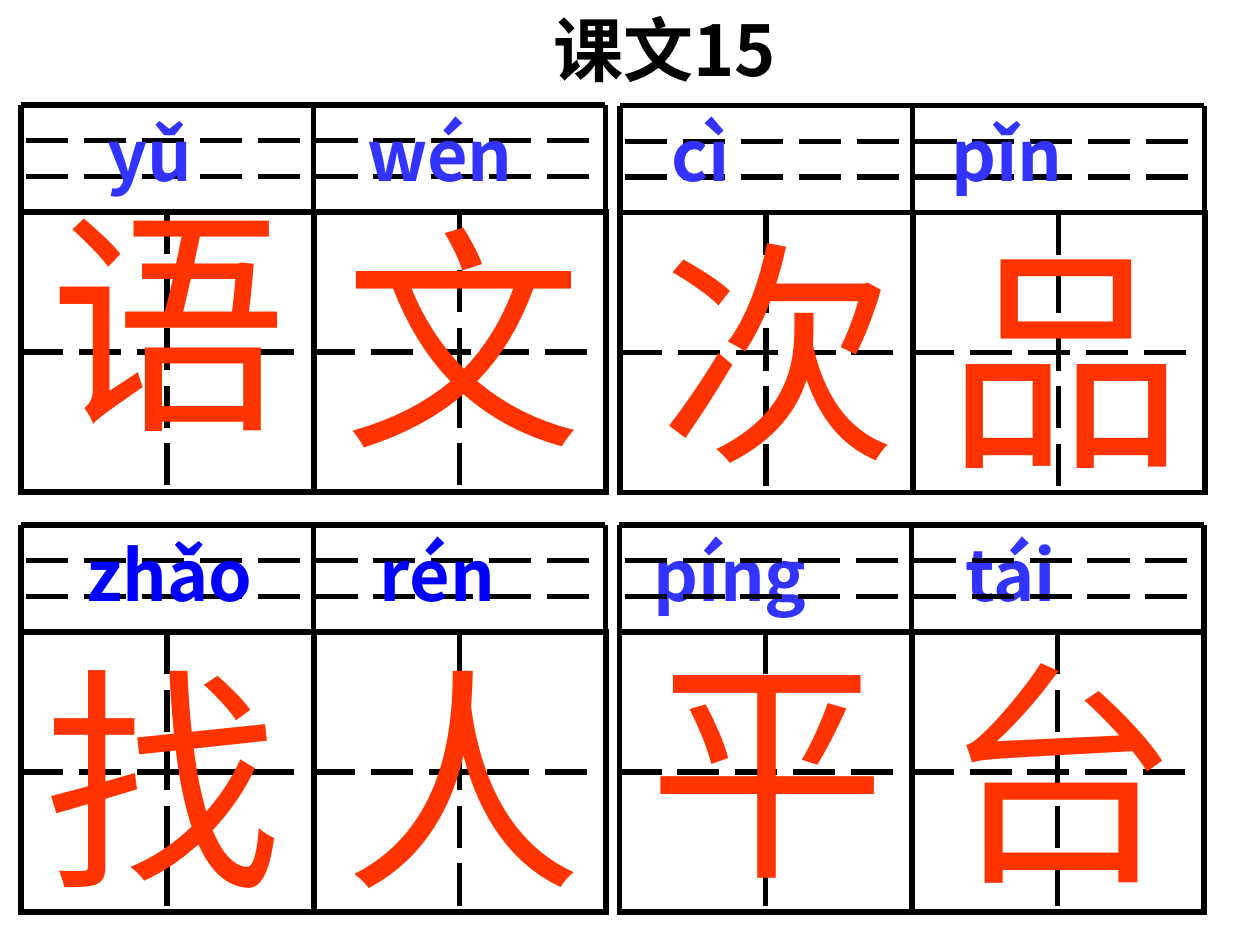
from lxml import etree
from pptx import Presentation
from pptx.dml.color import RGBColor
from pptx.enum.dml import MSO_LINE
from pptx.enum.shapes import MSO_CONNECTOR, MSO_SHAPE
from pptx.enum.text import MSO_ANCHOR, PP_ALIGN
from pptx.oxml.ns import qn
from pptx.util import Pt

STRAIGHT = MSO_CONNECTOR.STRAIGHT
RECTANGLE = MSO_SHAPE.RECTANGLE
LONG_DASH = MSO_LINE.LONG_DASH
TOP = MSO_ANCHOR.TOP
LEFT = PP_ALIGN.LEFT

BLACK = RGBColor(0x00, 0x00, 0x00)
RED = RGBColor(0xFF, 0x33, 0x00)
SOFT_BLUE = RGBColor(0x33, 0x33, 0xFF)
PURE_BLUE = RGBColor(0x00, 0x00, 0xFF)

NOTO = "Noto Sans CJK SC"
ARIAL = "Arial"

# Writing grid: two columns, a pinyin band above a square for the character
COLUMN = 167
BAND = 61.2
SQUARE = 160
RULE_GAP = BAND / 3


def style_run(run, size, color, font_name, bold=False):
    font = run.font
    font.size, font.bold, font.name = Pt(size), bold, font_name
    font.color.rgb = color
    east_asian = etree.SubElement(run._r.get_or_add_rPr(), qn("a:ea"))
    east_asian.set("typeface", font_name)


def set_frame(frame):
    frame.word_wrap = True
    frame.vertical_anchor = TOP
    frame.margin_left = frame.margin_right = Pt(7.2)
    frame.margin_top = frame.margin_bottom = Pt(3.6)
    paragraph = frame.paragraphs[0]
    paragraph.alignment = LEFT
    paragraph.line_spacing = 1.0
    paragraph.space_before = Pt(0)
    return paragraph


def add_rule(shapes, x1, y1, x2, y2, dashed=False):
    rule = shapes.add_connector(STRAIGHT, Pt(x1), Pt(y1), Pt(x2), Pt(y2))
    rule.line.color.rgb = BLACK
    rule.line.width = Pt(3)
    if dashed:
        rule.line.dash_style = LONG_DASH
    etree.SubElement(rule._element.spPr, qn("a:effectLst"))


def add_writing_grid(slide, left, top):
    shapes = slide.shapes.add_group_shape().shapes
    right = left + 2 * COLUMN
    square_top = top + BAND
    bottom = square_top + SQUARE

    # Character squares with dashed centre lines
    for x in (left, left + COLUMN):
        square = shapes.add_shape(RECTANGLE, Pt(x), Pt(square_top),
                                  Pt(COLUMN + 0.5), Pt(SQUARE))
        square.shadow.inherit = False
        square.fill.background()
        square.line.color.rgb = BLACK
        square.line.width = Pt(3)
        etree.SubElement(square._element.spPr.get_or_add_ln(),
                         qn("a:miter"), lim="800000")
        middle_x, middle_y = x + COLUMN / 2, square_top + SQUARE / 2
        add_rule(shapes, middle_x, square_top, middle_x, bottom, dashed=True)
        add_rule(shapes, x, middle_y, x + COLUMN - 3, middle_y, dashed=True)

    # Pinyin band
    add_rule(shapes, left, top, right, top)
    for step in (1, 2):
        y = top + step * RULE_GAP
        add_rule(shapes, left + 3, y, right, y, dashed=True)

    # Column edges
    for step in range(3):
        x = left + step * COLUMN
        add_rule(shapes, x, top, x, bottom)


def add_character(slide, character, left, top, font_name=ARIAL):
    box = slide.shapes.add_textbox(Pt(left), Pt(top), Pt(164.5), Pt(170.6))
    paragraph = set_frame(box.text_frame)
    paragraph.text = character
    style_run(paragraph.runs[0], 136, RED, font_name)


def add_pinyin_row(slide, left, top, width, syllables):
    """Each syllable is (text, tab position, colour)."""
    box = slide.shapes.add_textbox(Pt(left), Pt(top), Pt(width), Pt(55.4))
    paragraph = set_frame(box.text_frame)
    tab_list = etree.SubElement(paragraph._p.get_or_add_pPr(), qn("a:tabLst"))
    for text, position, color in syllables:
        etree.SubElement(tab_list, qn("a:tab"), pos=str(Pt(position)), algn="l")
        run = paragraph.add_run()
        run.text = "\t" + text
        style_run(run, 40, color, NOTO, bold=True)


def add_title(slide, left, top, width, height):
    title = slide.shapes.title
    title.left, title.top = Pt(left), Pt(top)
    title.width, title.height = Pt(width), Pt(height)
    paragraph = set_frame(title.text_frame)
    paragraph.text = "课文15"
    style_run(paragraph.runs[0], 40, BLACK, NOTO, bold=True)


def main():
    prs = Presentation()
    prs.slide_width, prs.slide_height = Pt(720), Pt(540)
    slide = prs.slides.add_slide(prs.slide_layouts[5])
    add_title(slide, 309, 0, 181.5, 55.4)

    # First row: 语文, 次品
    add_writing_grid(slide, 12, 60)
    add_writing_grid(slide, 354.3, 60.4)
    add_character(slide, "文", 189.5, 106, NOTO)
    add_character(slide, "语", 21, 96, NOTO)
    add_character(slide, "次", 369.5, 114)
    add_character(slide, "品", 534, 117.5)
    add_pinyin_row(slide, 0, 60, 717, [
        ("yǔ", 54.5, SOFT_BLUE), ("wén", 203, SOFT_BLUE),
        ("cì", 376.5, SOFT_BLUE), ("pǐn", 536.5, SOFT_BLUE)])

    # Second row: 找人, 平台
    add_writing_grid(slide, 12, 300)
    add_pinyin_row(slide, -12, 300, 690, [
        ("zhǎo", 54.5, PURE_BLUE), ("rén", 222, PURE_BLUE),
        ("píng", 378.5, SOFT_BLUE), ("tái", 556.5, SOFT_BLUE)])
    add_character(slide, "人", 189.5, 358)
    add_character(slide, "找", 18, 358)
    add_writing_grid(slide, 354, 300)
    add_character(slide, "平", 363.5, 351.5)
    add_character(slide, "台", 531.5, 354.5)

    prs.save("out.pptx")


if __name__ == "__main__":
    main()
